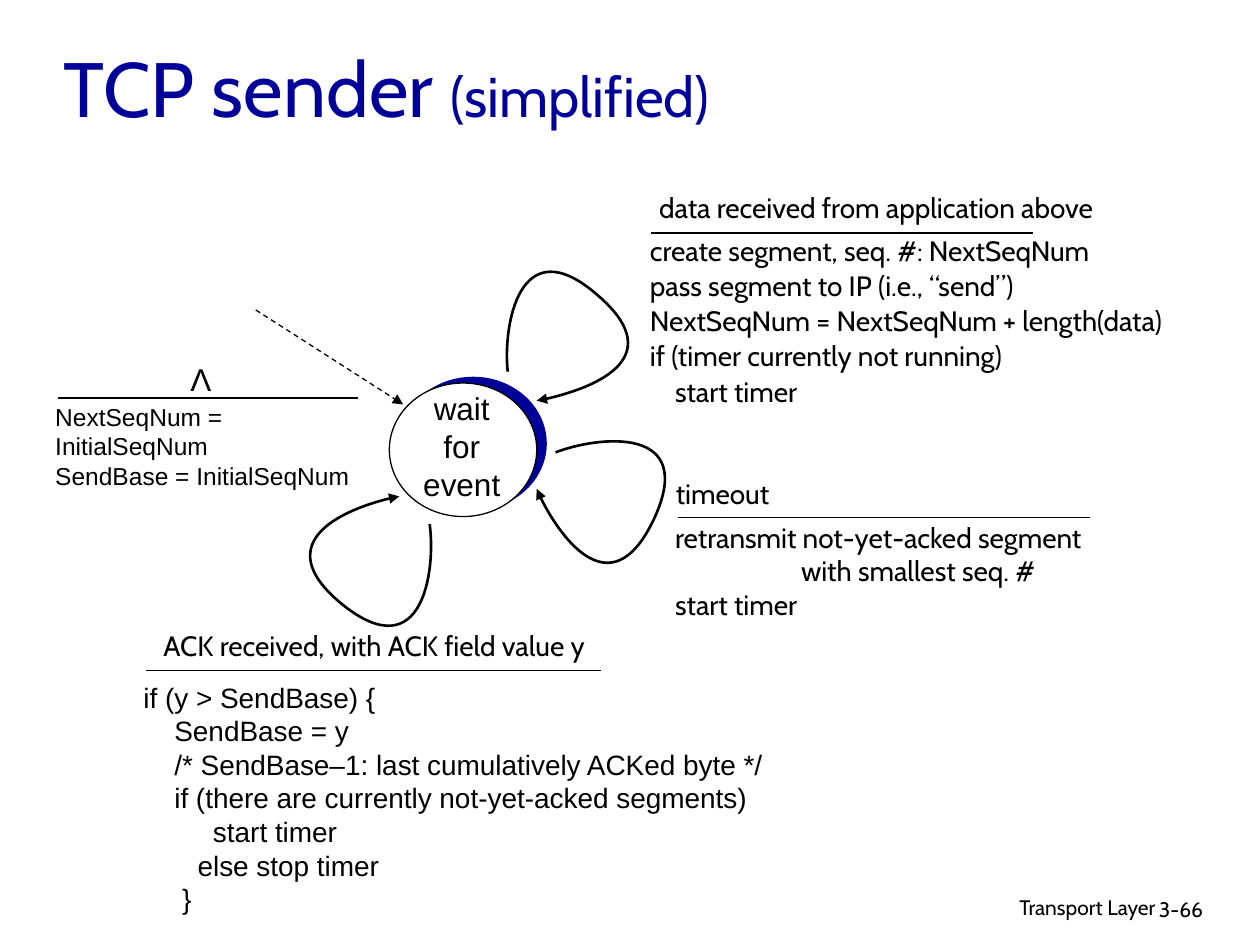
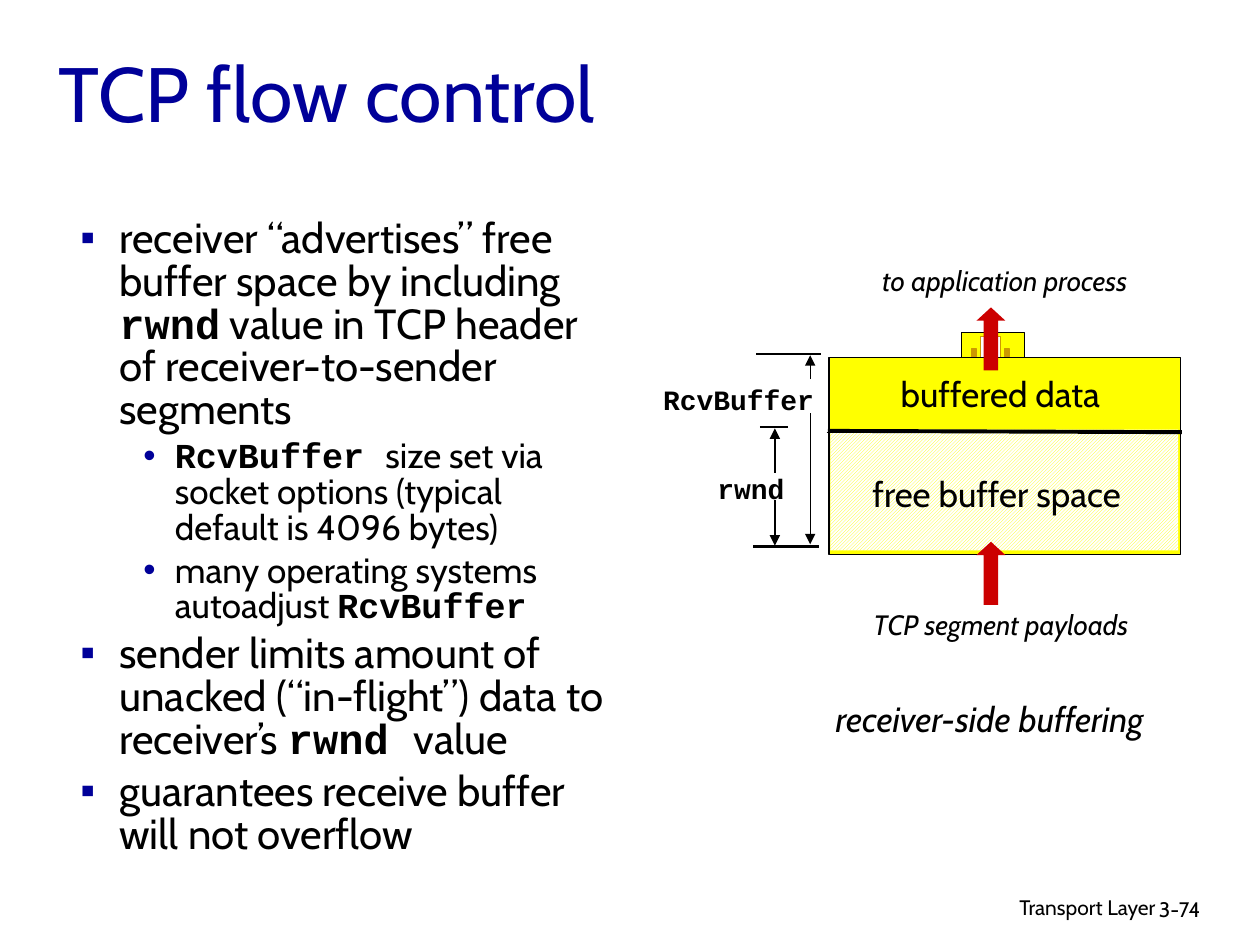
from dataclasses import dataclass

from lxml.etree import SubElement
from pptx import Presentation
from pptx.dml.color import RGBColor
from pptx.enum.dml import MSO_LINE, MSO_PATTERN
from pptx.enum.shapes import MSO_CONNECTOR, MSO_SHAPE
from pptx.enum.text import MSO_ANCHOR, PP_ALIGN
from pptx.oxml.ns import qn
from pptx.util import Inches, Pt


@dataclass(frozen=True)
class Theme:
    navy: RGBColor = RGBColor.from_string("000099")
    black: RGBColor = RGBColor.from_string("000000")
    white: RGBColor = RGBColor.from_string("FFFFFF")
    yellow: RGBColor = RGBColor.from_string("FFFF00")
    ochre: RGBColor = RGBColor.from_string("CC9900")
    red: RGBColor = RGBColor.from_string("CC0000")
    sans: str = "Cabin"
    plain: str = "Arial"
    mono: str = "Courier New"
    title: int = 44
    subtitle: int = 32
    body: int = 24
    large: int = 20
    state: int = 18
    label: int = 16
    small: int = 14
    footer: int = 12


theme = Theme()
LEFT, CENTER, RIGHT = PP_ALIGN.LEFT, PP_ALIGN.CENTER, PP_ALIGN.RIGHT


def add_text(page, at, lines, size=theme.label, font=theme.sans, align=LEFT,
             color=theme.black, bold=False, italic=False, spacing=None):
    """Add one paragraph per line; only left-aligned boxes wrap."""
    box = page.shapes.add_textbox(*map(Inches, at))
    frame = box.text_frame
    frame.word_wrap = align == LEFT
    frame.text = "\n".join(lines)
    for paragraph in frame.paragraphs:
        paragraph.alignment = align
        paragraph.line_spacing = spacing
        for span in paragraph.runs:
            span.font.name, span.font.size = font, Pt(size)
            span.font.bold, span.font.italic = bold, italic
            span.font.color.rgb = color
    return frame


def finish_line(line_shape, weight, arrow=False, dashed=False):
    line_shape.line.color.rgb = theme.black
    line_shape.line.width = Pt(weight)
    if dashed:
        line_shape.line.dash_style = MSO_LINE.DASH
    properties = line_shape._element.spPr
    if arrow:
        SubElement(properties.find(qn("a:ln")), qn("a:tailEnd"), type="triangle")
    SubElement(properties, qn("a:effectLst"))


deck = Presentation()
deck.slide_width, deck.slide_height = Inches(10), Inches(7.5)
sender, flow = [deck.slides.add_slide(deck.slide_layouts[6]) for _ in range(2)]

# Titles and footers
for page, title, at, number in [
    (sender, "TCP sender ", (0.41, 0.2, 8.46, 0.98), "3-66"),
    (flow, "TCP flow control", (0.37, 0.19, 8.5, 1.07), "3-74"),
]:
    add_text(page, (6.1, 7.05, 3.17, 0.31), ["Transport Layer"], theme.footer, align=RIGHT)
    add_text(page, (9.1, 7.07, 0.74, 0.3), [number], theme.footer)
    frame = add_text(page, at, [title], theme.title, color=theme.navy)
    frame.vertical_anchor = MSO_ANCHOR.MIDDLE
    if page is sender:
        span = frame.paragraphs[0].add_run()
        span.text = "(simplified)"
        span.font.name, span.font.size = theme.sans, Pt(theme.subtitle)
        span.font.color.rgb = theme.navy

# State circle, receive buffer with its socket, and flow arrows
OVAL, RECT, UP = MSO_SHAPE.OVAL, MSO_SHAPE.RECTANGLE, MSO_SHAPE.UP_ARROW
for page, kind, at, fill, outline in [
    (sender, OVAL, (3.17, 2.99, 1.17, 1.06), theme.navy, None),
    (sender, OVAL, (3.09, 3.04, 1.17, 1.06), theme.white, theme.black),
    (flow, RECT, (7.63, 2.64, 0.5, 0.23), theme.yellow, theme.black),
    (flow, RECT, (7.78, 2.67, 0.16, 0.17), theme.white, theme.ochre),
    (flow, RECT, (7.97, 2.77, 0.04, 0.06), theme.ochre, theme.ochre),
    (flow, RECT, (7.71, 2.77, 0.04, 0.06), theme.ochre, theme.ochre),
    (flow, RECT, (6.58, 2.84, 2.79, 1.56), theme.yellow, theme.black),
    (flow, RECT, (6.59, 3.41, 2.76, 0.96), "hatched", None),
    (flow, UP, (7.75, 2.44, 0.23, 0.5), theme.red, None),
    (flow, UP, (7.75, 4.3, 0.23, 0.5), theme.red, None),
]:
    shape = page.shapes.add_shape(kind, *map(Inches, at))
    shape.shadow.inherit = False
    if fill == "hatched":
        shape.fill.patterned()
        shape.fill.pattern = MSO_PATTERN.DARK_UPWARD_DIAGONAL
        shape.fill.fore_color.rgb = theme.yellow
        shape.fill.back_color.rgb = theme.white
    else:
        shape.fill.solid()
        shape.fill.fore_color.rgb = fill
    if outline is None:
        shape.line.fill.background()
    else:
        shape.line.color.rgb = outline
        shape.line.width = Pt(0.75)
    if kind == UP:
        shape.adjustments[1] = 0.46

# Straight lines: start, end, weight, arrow at the end
for page, start, end, weight, arrow in [
    (sender, (2.03, 2.46), (3.2, 3.21), 0.75, True),
    (sender, (0.46, 3.16), (2.84, 3.16), 0.75, False),
    (sender, (5.17, 1.85), (8.2, 1.85), 0.75, False),
    (sender, (5.38, 4.11), (8.65, 4.11), 0.75, False),
    (sender, (1.16, 5.32), (4.77, 5.32), 0.75, False),
    (flow, (6.56, 3.43), (9.37, 3.43), 0.75, False),
    (flow, (6.57, 3.42), (9.38, 3.43), 2.25, False),
    (flow, (6.15, 3.75), (6.15, 3.4), 0.75, True),
    (flow, (6.15, 3.97), (6.15, 4.33), 0.75, True),
    (flow, (5.98, 4.34), (6.5, 4.34), 1.5, False),
    (flow, (6.03, 3.39), (6.25, 3.39), 1.5, False),
    (flow, (6, 2.81), (6.52, 2.81), 1.5, False),
    (flow, (6.43, 3.01), (6.43, 2.82), 0.75, True),
    (flow, (6.43, 3.28), (6.43, 4.32), 0.75, True),
]:
    line = page.shapes.add_connector(MSO_CONNECTOR.STRAIGHT, *map(Inches, start + end))
    finish_line(line, weight, arrow, dashed=page is sender and arrow)

# Transition loops: a start point, then three points for each Bézier curve
for start, *points in [
    [(4.03, 2.95), (3.99, 2.59), (4.12, 1.8), (4.74, 2.34),
     (5.36, 2.87), (4.52, 3.14), (4.26, 3.18)],
    [(4.41, 3.59), (4.75, 3.46), (5.54, 3.37), (5.19, 4.12),
     (4.84, 4.86), (4.35, 4.12), (4.26, 3.88)],
    [(3.41, 4.16), (3.46, 4.52), (3.36, 5.31), (2.72, 4.8),
     (2.08, 4.28), (2.91, 3.98), (3.17, 3.94)],
]:
    builder = sender.shapes.build_freeform(*start, scale=Inches(1) / 100 * 100)
    builder = sender.shapes.build_freeform(*map(Inches, start))
    builder.add_line_segments([tuple(map(Inches, point)) for point in points], close=False)
    loop = builder.convert_to_shape()
    loop.fill.background()
    finish_line(loop, 1.5, arrow=True)
    path = next(loop._element.iter(qn("a:path")))
    segments = path.findall(qn("a:lnTo"))
    for first in range(0, len(segments), 3):
        curve = SubElement(path, qn("a:cubicBezTo"))
        for segment in segments[first:first + 3]:
            curve.append(segment[0])
            path.remove(segment)

# TCP sender: state and transition labels
add_text(sender, (3.26, 3.04, 0.81, 1), ["wait", "for", "event"],
         theme.state, theme.plain, CENTER)
add_text(sender, (0.34, 3.14, 2.6, 0.8),
         ["NextSeqNum = InitialSeqNum", "SendBase = InitialSeqNum"], theme.small, theme.plain)
add_text(sender, (1.41, 2.81, 0.37, 0.4), ["Λ"], theme.state, theme.plain, CENTER)
for at, event in [
    ((5.04, 1.46, 3.83, 0.37), "data received from application above"),
    ((5.26, 3.73, 0.95, 0.37), "timeout"),
    ((1.06, 4.94, 3.82, 0.37), "ACK received, with ACK field value y"),
]:
    add_text(sender, at, [event], align=CENTER)
add_text(sender, (5.06, 1.79, 4.62, 1.77), [
    "create segment, seq. #: NextSeqNum",
    "pass segment to IP (i.e., “send”)",
    "NextSeqNum = NextSeqNum + length(data)",
    "if (timer currently not running)",
    "    start timer",
], spacing=1.05)
retransmit = add_text(sender, (5.26, 4.08, 3.6, 0.9), [
    "retransmit not-yet-acked segment", "with smallest seq. #", "start timer"])
retransmit.paragraphs[1]._p.get_or_add_pPr().set("marL", str(Inches(1)))
add_text(sender, (1.04, 5.35, 5.6, 1.97), [
    "if (y > SendBase) {",
    "    SendBase = y",
    "    /* SendBase–1: last cumulatively ACKed byte */",
    "    if (there are currently not-yet-acked segments)",
    "         start timer",
    "       else stop timer",
    "     }",
], font=theme.plain)

# TCP flow control: buffer labels
for at, label, size, italic in [
    ((7.01, 2.91, 1.86, 0.43), "buffered data", theme.large, False),
    ((6.77, 3.7, 2.28, 0.43), "free buffer space", theme.large, False),
    ((6.73, 4.77, 2.43, 0.37), "TCP segment payloads", theme.label, True),
    ((6.81, 2.04, 2.33, 0.37), "to application process", theme.label, True),
    ((6.38, 5.49, 2.95, 0.43), "receiver-side buffering", theme.large, True),
]:
    add_text(flow, at, [label], size, align=CENTER, italic=italic)
add_text(flow, (5.59, 3.69, 0.74, 0.37), ["rwnd"], font=theme.mono, align=CENTER, bold=True)
add_text(flow, (5.16, 2.99, 1.4, 0.37), ["RcvBuffer"], font=theme.mono, align=RIGHT, bold=True)

# TCP flow control: bullets, with variable names between backticks
bullet_styles = [("▪", 0.31, 0.31, theme.body, 5), ("•", 0.75, 0.25, theme.large, 4)]
frame = flow.shapes.add_textbox(*map(Inches, (0.54, 1.69, 4.43, 5.37))).text_frame
frame.word_wrap = True
for index, (level, text) in enumerate([
    (0, "receiver “advertises” free buffer space by including `rwnd` value in TCP header "
        "of receiver-to-sender segments"),
    (1, "`RcvBuffer `size set via socket options (typical default is 4096 bytes)"),
    (1, "many operating systems autoadjust `RcvBuffer`"),
    (0, "sender limits amount of unacked (“in-flight”) data to receiver’s `rwnd `value"),
    (0, "guarantees receive buffer will not overflow"),
]):
    mark, margin, hanging, size, gap = bullet_styles[level]
    paragraph = frame.add_paragraph() if index else frame.paragraphs[0]
    paragraph.level = level
    paragraph.line_spacing = 0.85
    paragraph.space_before = Pt(gap if index else 0)
    properties = paragraph._p.get_or_add_pPr()
    properties.set("marL", str(Inches(margin)))
    properties.set("indent", str(-Inches(hanging)))
    bullet_color = SubElement(properties, qn("a:buClr"))
    SubElement(bullet_color, qn("a:srgbClr"), val=str(theme.navy))
    SubElement(properties, qn("a:buFont"), typeface=theme.plain)
    SubElement(properties, qn("a:buChar"), char=mark)
    for position, part in enumerate(text.split("`")):
        if part:
            is_name = position % 2 == 1
            span = paragraph.add_run()
            span.text = part
            span.font.name = theme.mono if is_name else theme.sans
            span.font.bold = is_name
            span.font.size = Pt(size)
            span.font.color.rgb = theme.black

deck.save("out.pptx")
